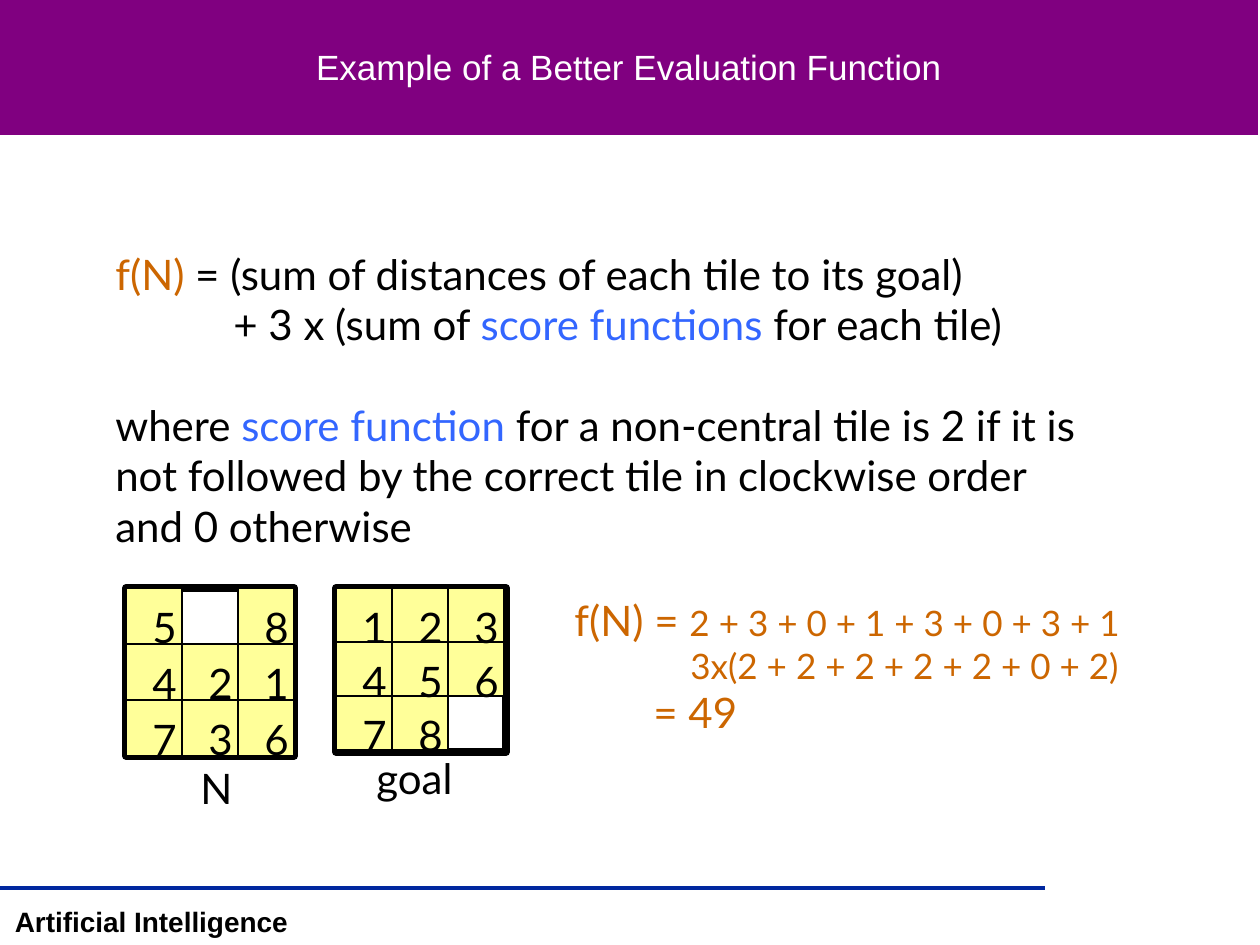
from lxml.etree import SubElement
from pptx import Presentation
from pptx.dml.color import RGBColor
from pptx.enum.shapes import MSO_CONNECTOR, MSO_SHAPE
from pptx.enum.text import MSO_ANCHOR, MSO_AUTO_SIZE, PP_ALIGN
from pptx.oxml.ns import qn
from pptx.util import Emu, Pt

PURPLE = RGBColor(0x80, 0x00, 0x80)
NAVY = RGBColor(0x00, 0x27, 0x9F)
WHITE = RGBColor(0xFF, 0xFF, 0xFF)
BLACK = RGBColor(0x00, 0x00, 0x00)
ORANGE = RGBColor(0xCC, 0x66, 0x00)
BLUE = RGBColor(0x33, 0x66, 0xFF)
YELLOW = RGBColor(0xFF, 0xFF, 0x99)


def px(length):
    return Emu(round(length * 914400 / 126))


def add_rectangle(shapes, box, fill=None, line_width=None):
    shape = shapes.add_shape(MSO_SHAPE.RECTANGLE, *map(px, box))
    shape.shadow.inherit = False
    if fill is None:
        shape.fill.background()
    else:
        shape.fill.solid()
        shape.fill.fore_color.rgb = fill
    if line_width is None:
        shape.line.fill.background()
    else:
        shape.line.color.rgb = BLACK
        shape.line.width = Pt(line_width)


def add_rule(shapes, left, right, y):
    connector = shapes.add_connector(
        MSO_CONNECTOR.STRAIGHT, px(left), px(y), px(right), px(y))
    connector.line.color.rgb = NAVY
    connector.line.width = Pt(2)
    SubElement(connector.element.spPr, qn("a:effectLst"))


def add_text(shapes, box, runs, size=24, font="Lato", bold=False,
             align=PP_ALIGN.LEFT):
    text_box = shapes.add_textbox(*map(px, box))
    frame = text_box.text_frame
    frame.word_wrap = False
    frame.auto_size = MSO_AUTO_SIZE.SHAPE_TO_FIT_TEXT
    add_paragraph(frame.paragraphs[0], runs, size, font, bold, align)
    return frame


def add_paragraph(paragraph, runs, size=24, font="Lato", bold=False,
                  align=PP_ALIGN.LEFT, indent=0, space_before=0):
    paragraph.alignment = align
    paragraph.space_before = Pt(space_before)
    if indent:
        paragraph._p.get_or_add_pPr().set("marL", str(px(indent)))
    for text, color, *own_size in runs:
        run = paragraph.add_run()
        run.text = text
        run.font.name = font
        run.font.size = Pt(own_size[0] if own_size else size)
        run.font.bold = bold
        run.font.color.rgb = color


def add_board(shapes, frame_box, tile_width, tile_height, rows):
    group = shapes.add_group_shape().shapes
    add_rectangle(group, frame_box, line_width=4.5)
    left, top = frame_box[:2]
    tiles = [(left + column * tile_width, top + row * tile_height, digit)
             for row, digits in enumerate(rows)
             for column, digit in enumerate(digits) if digit != " "]
    for x, y, _ in tiles:
        add_rectangle(group, (x, y, tile_width, tile_height), YELLOW, 0.75)
    for x, y, digit in tiles:
        add_text(group, (x + 14, y + 7, 49, 63), [(digit, BLACK)])


def add_definition(shapes):
    frame = add_text(shapes, (103, 242, 1056, 315), [
        ("f(N)", ORANGE),
        (" = (sum of distances of each tile to its goal)", BLACK)])
    add_paragraph(frame.add_paragraph(), [
        ("+ 3 x (sum of ", BLACK), ("score functions", BLUE),
        (" for each tile)", BLACK)], indent=118)
    add_paragraph(frame.add_paragraph(), [
        ("where ", BLACK), ("score function", BLUE),
        (" for a non-central tile is 2 if it is", BLACK)], space_before=28.8)
    for line in ("not followed by the correct tile in clockwise order",
                 "and 0 otherwise"):
        add_paragraph(frame.add_paragraph(), [(line, BLACK)])


def add_calculation(shapes):
    frame = add_text(shapes, (562, 588, 573, 156), [
        ("f(N) = ", ORANGE), ("2 + 3 + 0 + 1 + 3 + 0 + 3 + 1", ORANGE, 20)])
    add_paragraph(frame.add_paragraph(), [
        ("3x(2 + 2 + 2 + 2 + 2 + 0 + 2)", ORANGE)], size=20, indent=116)
    add_paragraph(frame.add_paragraph(), [("= 49", ORANGE)], indent=79)


def main():
    presentation = Presentation()
    presentation.slide_width = px(1260)
    presentation.slide_height = px(945)
    slide = presentation.slides.add_slide(presentation.slide_layouts[6])
    shapes = slide.shapes

    add_rectangle(shapes, (0, 0, 1258, 135), PURPLE)
    add_rule(shapes, 0, 1045, 888)
    add_text(shapes, (2, 898, 299, 47), [("Artificial Intelligence", BLACK)],
             size=16, font="Arial", bold=True, align=PP_ALIGN.CENTER)
    title = add_text(shapes, (2, 2, 1254, 129),
                     [("Example of a Better Evaluation Function", WHITE)],
                     size=20, font="Arial", align=PP_ALIGN.CENTER)
    title.word_wrap = True
    title.auto_size = MSO_AUTO_SIZE.NONE
    title.vertical_anchor = MSO_ANCHOR.MIDDLE

    add_definition(shapes)
    add_board(shapes, (336, 588, 170, 164), 56, 54, ("123", "456", "78 "))
    add_board(shapes, (126, 588, 168, 168), 56, 56, ("5 8", "421", "736"))
    add_text(shapes, (188, 756, 57, 63), [("N", BLACK)])
    add_text(shapes, (364, 746, 111, 63), [("goal", BLACK)])
    add_calculation(shapes)
    presentation.save("out.pptx")


if __name__ == "__main__":
    main()
